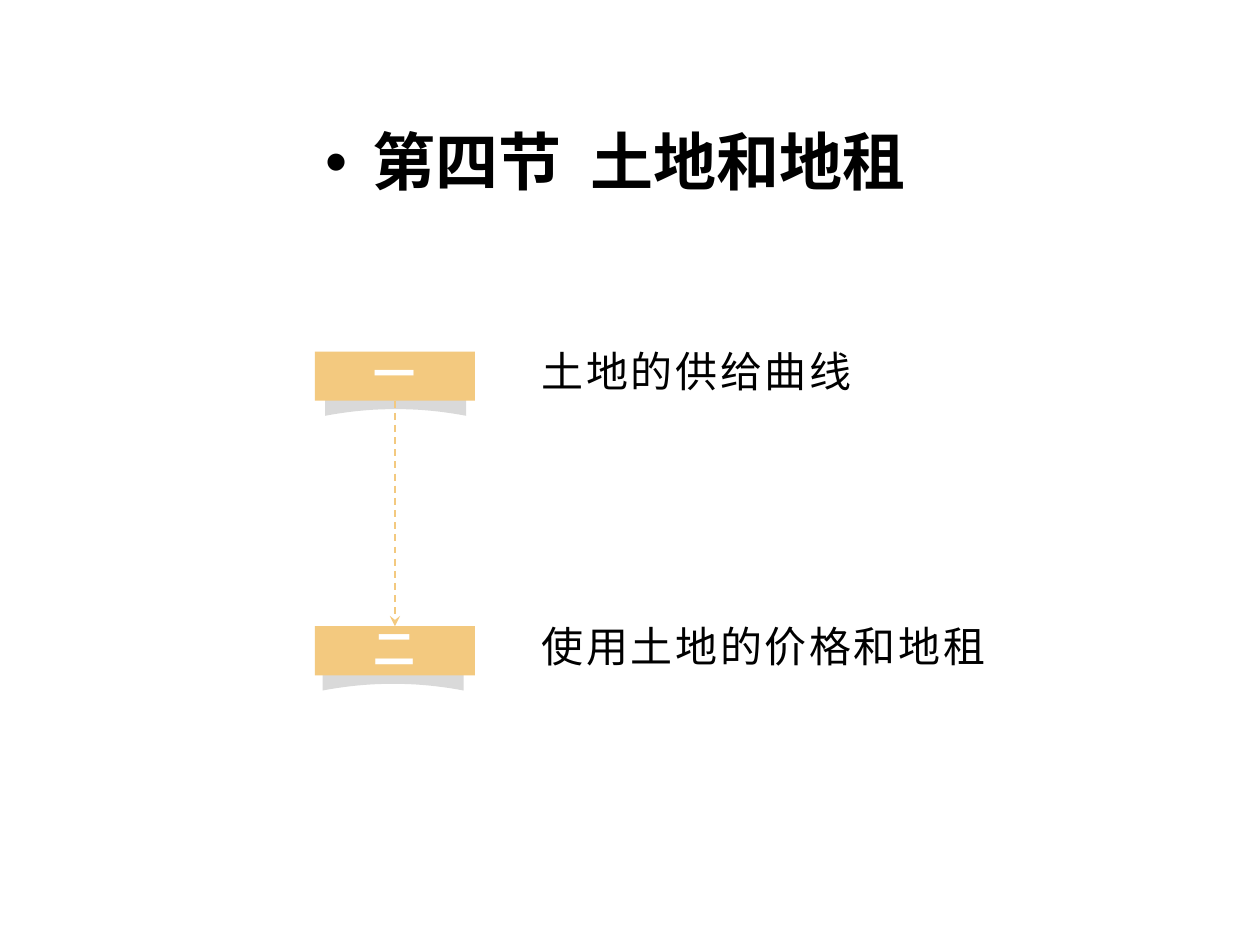
from lxml import etree
from pptx import Presentation
from pptx.dml.color import RGBColor
from pptx.enum.dml import MSO_LINE
from pptx.enum.shapes import MSO_CONNECTOR, MSO_SHAPE
from pptx.enum.text import MSO_ANCHOR, MSO_AUTO_SIZE, PP_ALIGN
from pptx.oxml.ns import qn
from pptx.util import Inches, Pt

BLACK = RGBColor(0x00, 0x00, 0x00)
WHITE = RGBColor(0xFF, 0xFF, 0xFF)
AMBER = RGBColor(0xF3, 0xC9, 0x7F)
GREY = RGBColor(0xD9, 0xD9, 0xD9)
FONT = "Noto Sans CJK SC"

TAG_LEFT, TAG_WIDTH, TAG_HEIGHT = 2.5, 1.27, 0.39
FIRST_TOP, ROW_PITCH = 2.79, 2.18
# number, topic, label width, shadow inset from the tag's left side
SECTIONS = [
    ("一", "土地的供给曲线", 3.21, 0.08),
    ("二", "使用土地的价格和地租", 4.28, 0.06),
]


def write(paragraph, text, size, color, bold=False, spacing=0):
    """Add one run; spacing is the letter spacing in points."""
    paragraph.line_spacing = 0.9
    run = paragraph.add_run()
    run.text = text
    run.font.size = Pt(size)
    run.font.bold = bold
    run.font.color.rgb = color
    run.font.name = FONT
    properties = run._r.get_or_add_rPr()
    etree.SubElement(properties, qn("a:ea")).set("typeface", FONT)
    if spacing:
        properties.set("spc", str(int(spacing * 100)))


def indent(paragraph, margin, first_line):
    properties = paragraph._p.get_or_add_pPr()
    properties.set("marL", str(Inches(margin)))
    properties.set("indent", str(Inches(first_line)))
    return properties


def add_heading(slide, left, top, width, height):
    heading = slide.shapes.title
    heading.left, heading.top = Inches(left), Inches(top)
    heading.width, heading.height = Inches(width), Inches(height)
    frame = heading.text_frame
    frame.auto_size = MSO_AUTO_SIZE.NONE
    frame.vertical_anchor = MSO_ANCHOR.TOP
    paragraph = frame.paragraphs[0]
    paragraph.alignment = PP_ALIGN.LEFT
    properties = indent(paragraph, 0.38, -0.38)
    etree.SubElement(properties, qn("a:buFont")).set("typeface", "Arial")
    etree.SubElement(properties, qn("a:buChar")).set("char", "•")
    write(paragraph, "第四节  土地和地租", 36, BLACK, bold=True)


def add_curled_shadow(slide, left, top, width=1.12, height=0.19):
    """Draw a peaked top edge over a parabolic lower edge."""
    steps = 20
    lower_edge = []
    for step in range(steps + 1):
        t = 1 - 2 * step / steps
        lower_edge.append((left + width * (1 + t) / 2,
                           top + height * (0.72 + 0.28 * t * t)))
    shoulder = top + height / 4
    upper_edge = [(left, shoulder), (left + width / 2, top), (left + width, shoulder)]
    points = [(Inches(x), Inches(y)) for x, y in lower_edge + upper_edge]
    builder = slide.shapes.build_freeform(*points[0])
    builder.add_line_segments(points[1:], close=True)
    shadow = builder.convert_to_shape()
    shadow.shadow.inherit = False
    shadow.fill.solid()
    shadow.fill.fore_color.rgb = GREY
    shadow.line.fill.background()


def add_section(slide, top, number, topic, label_width, shadow_inset):
    """Place shadow, numbered tag and topic label; return the tag."""
    add_curled_shadow(slide, TAG_LEFT + shadow_inset, top + 0.32)

    tag = slide.shapes.add_shape(MSO_SHAPE.RECTANGLE, Inches(TAG_LEFT), Inches(top),
                                 Inches(TAG_WIDTH), Inches(TAG_HEIGHT))
    tag.shadow.inherit = False
    tag.fill.solid()
    tag.fill.fore_color.rgb = AMBER
    tag.line.fill.background()
    tag.text_frame.vertical_anchor = MSO_ANCHOR.MIDDLE
    number_line = tag.text_frame.paragraphs[0]
    number_line.alignment = PP_ALIGN.CENTER
    write(number_line, number, 24, WHITE, bold=True, spacing=1.5)

    label = slide.shapes.add_textbox(Inches(3.7), Inches(top - 0.05),
                                     Inches(label_width), Inches(0.5))
    label.text_frame.word_wrap = True
    topic_line = label.text_frame.paragraphs[0]
    indent(topic_line, 0.5, 0)
    write(topic_line, topic, 24, BLACK, spacing=1.5)
    return tag


def join_tags(slide, upper, lower):
    arrow = slide.shapes.add_connector(MSO_CONNECTOR.STRAIGHT, 0, 0, 0, 0)
    arrow.begin_connect(upper, 2)
    arrow.end_connect(lower, 0)
    arrow.line.color.rgb = AMBER
    arrow.line.width = Pt(1)
    arrow.line.dash_style = MSO_LINE.DASH
    etree.SubElement(arrow.line._get_or_add_ln(), qn("a:tailEnd")).set("type", "stealth")
    etree.SubElement(arrow._element.spPr, qn("a:effectLst"))


def main():
    deck = Presentation()
    deck.slide_width, deck.slide_height = Inches(10), Inches(7.5)
    slide = deck.slides.add_slide(deck.slide_layouts[5])
    add_heading(slide, 2.48, 0.99, 5.04, 0.87)
    tags = [add_section(slide, FIRST_TOP + row * ROW_PITCH, *section)
            for row, section in enumerate(SECTIONS)]
    join_tags(slide, *tags)
    deck.save("out.pptx")


if __name__ == "__main__":
    main()
